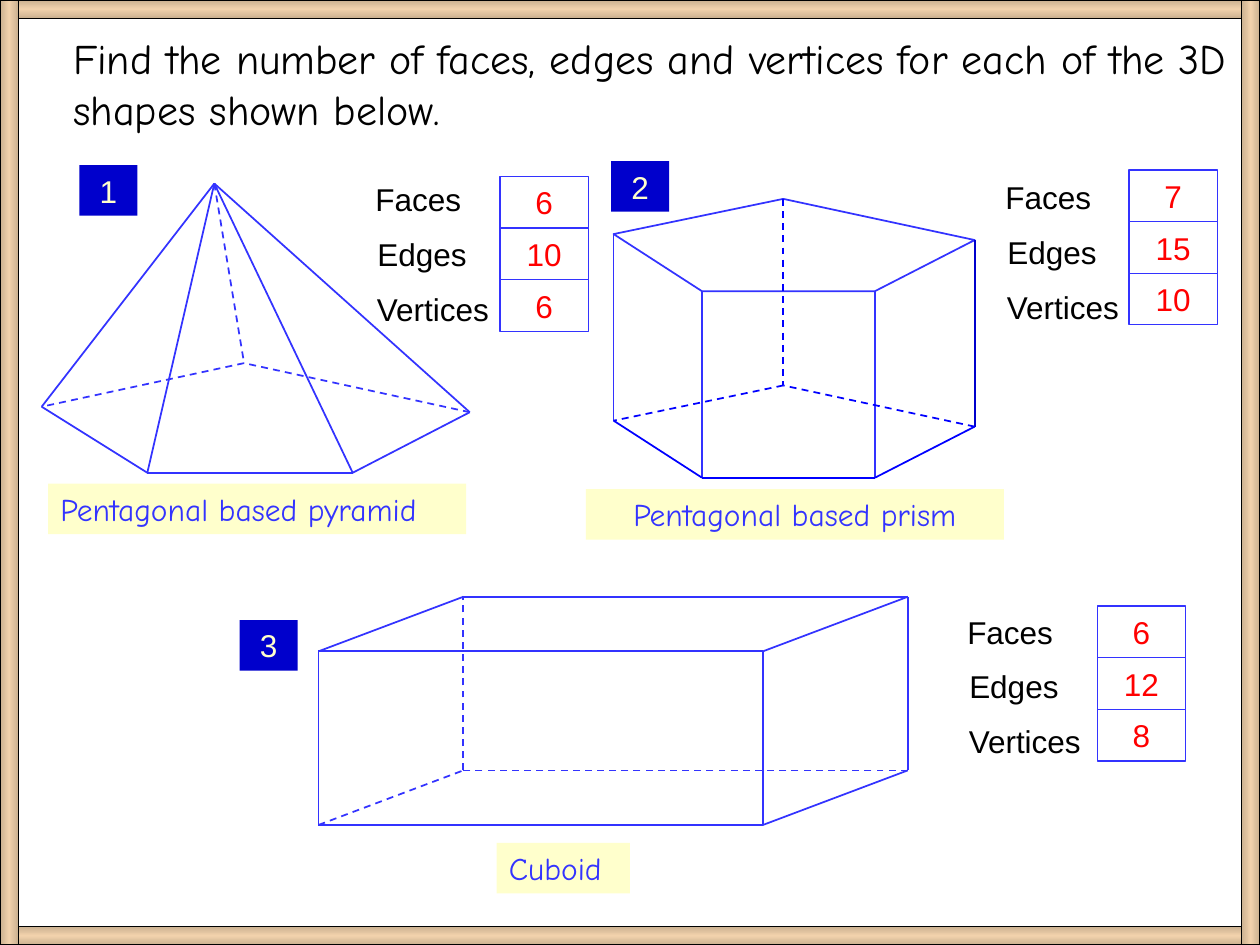
from copy import deepcopy
from dataclasses import dataclass

from pptx import Presentation
from pptx.dml.color import RGBColor
from pptx.enum import dml, shapes, text
from pptx.oxml.ns import qn
from pptx.util import Cm, Pt


@dataclass(frozen=True)
class Theme:
    edge: str = "3333FF"
    base_edge: str = "0000FF"
    deep: str = "0000CC"
    cream: str = "FFFFCC"
    paper: str = "FFFFFF"
    ink: str = "000000"
    answer: str = "FF0000"
    wood: tuple = ("CAB090", "F2D2AC", "CAB090")
    plain_font: str = "Arial"
    hand_font: str = "Comic Neue"
    heading_size: float = 24
    body_size: float = 18
    edge_width: float = 1
    border_width: float = 0.75


THEME = Theme()
SLIDE_W, SLIDE_H = 25.4, 19.05
ROW_H = 1.02
LEFT, CENTRE = text.PP_ALIGN.LEFT, text.PP_ALIGN.CENTER


def rgb(code):
    return RGBColor.from_string(code)


def write(holder, words, color, font=THEME.plain_font, align=LEFT,
          size=THEME.body_size, anchor=text.MSO_ANCHOR.MIDDLE):
    frame = holder.text_frame
    frame.word_wrap = True
    frame.auto_size = text.MSO_AUTO_SIZE.NONE
    frame.vertical_anchor = anchor
    frame.text = words
    line = frame.paragraphs[0]
    line.alignment = align
    line.font.name, line.font.size = font, Pt(size)
    line.font.color.rgb = rgb(color)


def add_block(slide, x, y, w, h, fill=None, border=None):
    block = slide.shapes.add_shape(
        shapes.MSO_SHAPE.RECTANGLE, Cm(x), Cm(y), Cm(w), Cm(h))
    block.shadow.inherit = False
    if fill:
        block.fill.solid()
        block.fill.fore_color.rgb = rgb(fill)
    if border:
        block.line.color.rgb = rgb(border)
        block.line.width = Pt(THEME.border_width)
    else:
        block.line.fill.background()
    return block


def add_edge(slide, start, end, color=THEME.edge, hidden=False):
    edge = slide.shapes.add_connector(
        shapes.MSO_CONNECTOR.STRAIGHT, *(Cm(v) for v in (*start, *end)))
    edge.line.color.rgb = rgb(color)
    edge.line.width = Pt(THEME.edge_width)
    if hidden:
        edge.line.dash_style = dml.MSO_LINE.DASH
    props = edge._element.spPr
    props.append(props.makeelement(qn("a:effectLst"), {}))


def add_outline(slide, corners):
    points = [(Cm(x), Cm(y)) for x, y in corners]
    builder = slide.shapes.build_freeform(*points[0])
    builder.add_line_segments(points[1:], close=True)
    face = builder.convert_to_shape()
    face.shadow.inherit = False
    face.fill.background()
    face.line.color.rgb = rgb(THEME.edge)
    face.line.width = Pt(THEME.edge_width)


def shift(corners, dx, dy):
    return [(x + dx, y + dy) for x, y in corners]


def ring(corners):
    return zip(corners, corners[1:] + corners[:1])


def draw_pyramid(slide):
    apex = (4.32, 3.7)
    base = [(2.97, 9.53), (7.11, 9.53), (9.47, 8.31), (4.92, 7.32), (0.84, 8.2)]
    back = base[3]
    for start, end in ring(base):
        add_edge(slide, start, end, hidden=back in (start, end))
    for corner in base:
        add_edge(slide, apex, corner, hidden=corner == back)


def draw_prism(slide):
    top = [(14.15, 5.87), (17.64, 5.87), (19.65, 4.84), (15.79, 4.01), (12.37, 4.72)]
    base = shift(top, 0, 3.76)
    back, right = base[3], base[2]
    add_outline(slide, top)
    for upper, lower in zip(top, base):
        color = {back: THEME.base_edge, right: THEME.deep}.get(lower, THEME.edge)
        add_edge(slide, upper, lower, color, hidden=lower == back)
    for start, end in ring(base):
        add_edge(slide, start, end, THEME.base_edge, hidden=back in (start, end))


def draw_cuboid(slide):
    x, y, width, height = 6.42, 13.13, 8.96, 3.5
    front = [(x, y), (x + width, y), (x + width, y + height), (x, y + height)]
    rear = shift(front, 2.92, -1.1)
    corner = rear[3]
    for face in (front, rear):
        for start, end in ring(face):
            add_edge(slide, start, end, hidden=corner in (start, end))
    for near, far in zip(front, rear):
        add_edge(slide, near, far, hidden=far == corner)


def add_badge(slide, x, y, number):
    badge = add_block(slide, x, y, 1.17, ROW_H, THEME.deep)
    write(badge, number, THEME.cream, align=CENTRE)


def add_caption(slide, x, y, w, name, align=LEFT):
    caption = add_block(slide, x, y, w, ROW_H, THEME.cream)
    write(caption, name, THEME.edge, THEME.hand_font, align)


def add_counts(slide, label_at, answer_at, counts):
    rows = zip(("Faces", "Edges", "Vertices"), (0, 0.04, 0.03), counts)
    for row, (word, indent, count) in enumerate(rows):
        label = slide.shapes.add_textbox(
            Cm(label_at[0] + indent), Cm(label_at[1] + row * 1.1), Cm(2.9), Cm(ROW_H))
        write(label, word, THEME.ink)
        cell = add_block(slide, answer_at[0], answer_at[1] + row * 1.04,
                         1.78, 1.04, THEME.paper, THEME.edge)
        write(cell, str(count), THEME.answer, align=CENTRE)


def add_rail(slide, x, y, w, h):
    rail = add_block(slide, x, y, w, h, border=THEME.ink)
    rail.fill.gradient()
    rail.fill.gradient_angle = 90 if w > h else 0
    stop_list = rail._element.spPr.find(".//" + qn("a:gsLst"))
    stop_list.append(deepcopy(stop_list[0]))
    for stop, color, position in zip(rail.fill.gradient_stops, THEME.wood, (0, 0.5, 1)):
        stop.color.rgb = rgb(color)
        stop.position = position


def add_frame(slide):
    thick = 0.37
    for y in (0, SLIDE_H - thick):
        add_rail(slide, 0, y, SLIDE_W, thick)
    for x in (0, SLIDE_W - thick):
        add_rail(slide, x, 0, thick, SLIDE_H)


def add_question(slide, words):
    question = slide.shapes.title
    question.left, question.top = Cm(1.22), Cm(0.53)
    question.width, question.height = Cm(24.18), Cm(2.29)
    write(question, words, THEME.ink, THEME.hand_font,
          size=THEME.heading_size, anchor=text.MSO_ANCHOR.TOP)


def main():
    deck = Presentation()
    deck.slide_width, deck.slide_height = Cm(SLIDE_W), Cm(SLIDE_H)
    slide = deck.slides.add_slide(deck.slide_layouts[5])
    add_question(slide, "Find the number of faces, edges and vertices "
                        "for each of the 3D shapes shown below.")

    draw_pyramid(slide)
    add_badge(slide, 1.6, 3.33, "1")
    add_caption(slide, 0.97, 9.75, 8.43, "Pentagonal based pyramid")
    add_counts(slide, (7.32, 3.51), (10.08, 3.56), (6, 10, 6))

    draw_prism(slide)
    add_badge(slide, 12.32, 3.25, "2")
    add_caption(slide, 11.81, 9.86, 8.43, "Pentagonal based prism", CENTRE)
    add_counts(slide, (20.02, 3.47), (22.76, 3.43), (7, 15, 10))

    draw_cuboid(slide)
    add_badge(slide, 4.83, 12.5, "3")
    add_caption(slide, 10.01, 16.99, 2.69, "Cuboid")
    add_counts(slide, (19.25, 12.22), (22.12, 12.22), (6, 12, 8))

    add_frame(slide)
    deck.save("out.pptx")


if __name__ == "__main__":
    main()
